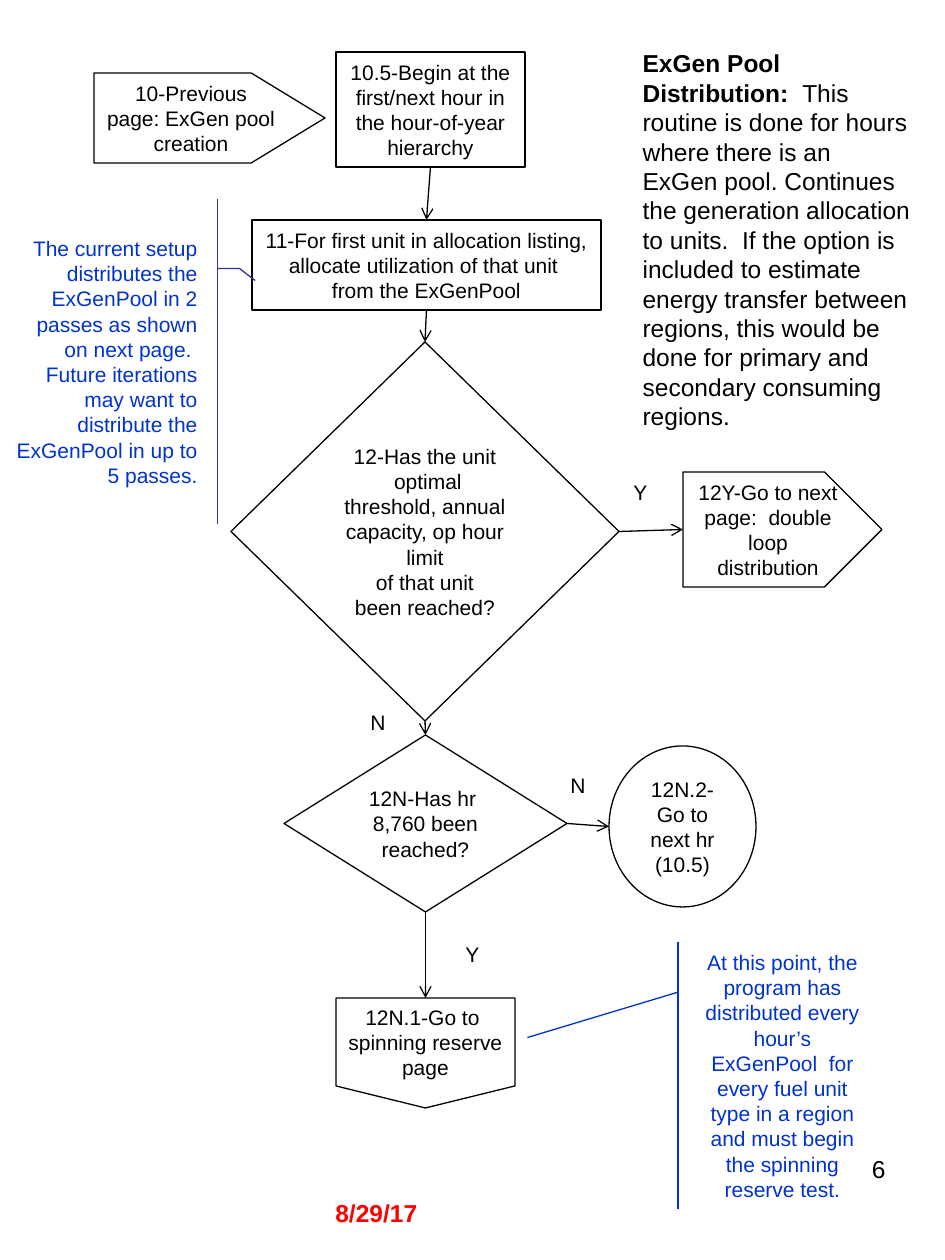
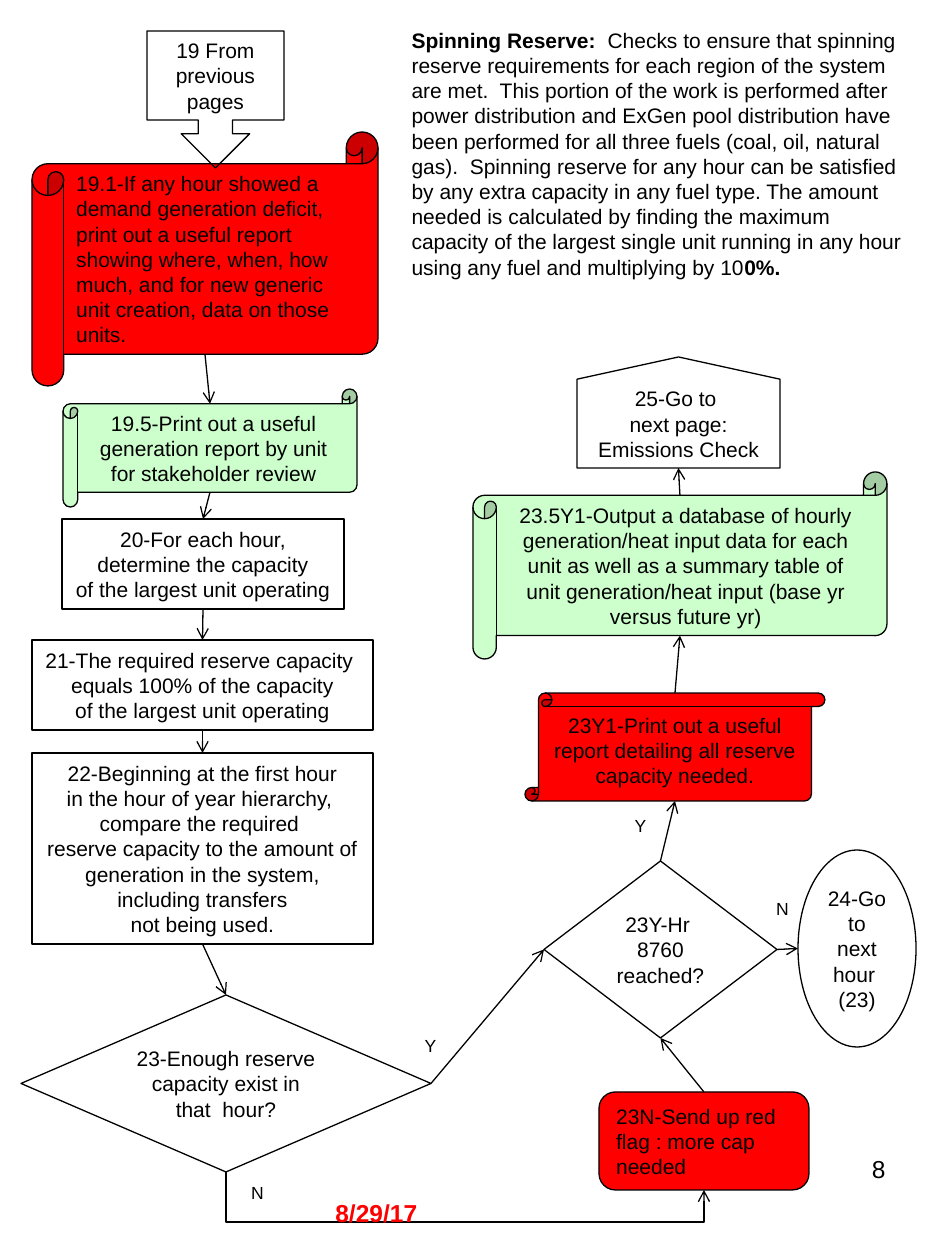
from dataclasses import dataclass

from lxml.etree import SubElement
from pptx import Presentation
from pptx.dml.color import RGBColor
from pptx.enum.shapes import MSO_CONNECTOR, MSO_SHAPE
from pptx.enum.text import MSO_ANCHOR, MSO_AUTO_SIZE, PP_ALIGN
from pptx.oxml.ns import qn
from pptx.util import Emu, Pt

# Shared look
COLORS = {"ink": "000000", "note": "0033CC", "note_line": "333399",
          "red": "FF0000", "green": "CCFFCC"}
FONT = "Arial"
LINE_PT = 0.75
PX_PER_INCH = 126
TITLE_ONLY = 5
SCROLL_CURL = 0.125
LEFT, CENTER, RIGHT = PP_ALIGN.LEFT, PP_ALIGN.CENTER, PP_ALIGN.RIGHT

PROCESS = MSO_SHAPE.FLOWCHART_PROCESS
DECISION = MSO_SHAPE.FLOWCHART_DECISION
CIRCLE = MSO_SHAPE.FLOWCHART_CONNECTOR
OFFPAGE = MSO_SHAPE.FLOWCHART_OFFPAGE_CONNECTOR
SCROLL = MSO_SHAPE.HORIZONTAL_SCROLL

Box = tuple[int, int, int, int]
Point = tuple[float, float]


@dataclass(frozen=True)
class Node:
    """A flow chart step; each line of its text is one paragraph."""
    key: str
    kind: MSO_SHAPE
    box: Box
    text: str
    fill: str | None = None
    line: str = "ink"
    color: str = "ink"
    align: PP_ALIGN = CENTER
    adj: tuple[float, ...] = ()
    wrap: bool = True
    upside_down: bool = False

    def site(self, side: str) -> Point:
        x, y, w, h = self.box
        curl = SCROLL_CURL * min(w, h) if self.kind == SCROLL else 0
        return {"top": (x + w / 2, y + curl), "bottom": (x + w / 2, y + h - curl),
                "left": (x, y + h / 2), "right": (x + w, y + h / 2)}[side]


@dataclass(frozen=True)
class Link:
    start: str
    end: str
    leave: str = "bottom"
    enter: str = "top"
    dip: int | None = None  # height of the level run of a bent link


@dataclass(frozen=True)
class Label:
    text: str
    box: Box


@dataclass(frozen=True)
class Run:
    text: str
    bold: bool = False


@dataclass(frozen=True)
class Page:
    number: str
    title_box: Box
    title_size: int
    title: tuple[Run, ...]
    label_size: int
    nodes: tuple[Node, ...]
    links: tuple[Link, ...]
    labels: tuple[Label, ...]


# Helpers
def px(n: float) -> Emu:
    return Emu(round(n * 914400 / PX_PER_INCH))


def rgb(name: str) -> RGBColor:
    return RGBColor.from_string(COLORS[name])


def write(tf, lines: list[list[Run]], size: int, color: str = "ink",
          align: PP_ALIGN = CENTER, anchor: MSO_ANCHOR = MSO_ANCHOR.TOP,
          wrap: bool = True) -> None:
    tf.word_wrap = wrap
    tf.auto_size = MSO_AUTO_SIZE.NONE
    tf.vertical_anchor = anchor
    for i, runs in enumerate(lines):
        p = tf.paragraphs[0] if i == 0 else tf.add_paragraph()
        p.alignment = align
        for run in runs:
            r = p.add_run()
            r.text = run.text
            r.font.name = FONT
            r.font.size = Pt(size)
            r.font.bold = run.bold
            r.font.color.rgb = rgb(color)


def add_text(slide, box: Box, run: Run, size: int, color: str = "ink",
             align: PP_ALIGN = CENTER) -> None:
    sp = slide.shapes.add_textbox(*map(px, box))
    write(sp.text_frame, [[run]], size, color, align)


def add_title(slide, page: Page) -> None:
    sp = slide.shapes.title
    sp.left, sp.top, sp.width, sp.height = map(px, page.title_box)
    write(sp.text_frame, [list(page.title)], page.title_size, align=LEFT)


def add_node(slide, node: Node) -> None:
    sp = slide.shapes.add_shape(node.kind, *map(px, node.box))
    sp.shadow.inherit = False
    for i, value in enumerate(node.adj):
        sp.adjustments[i] = value
    if node.fill:
        sp.fill.solid()
        sp.fill.fore_color.rgb = rgb(node.fill)
    else:
        sp.fill.background()
    sp.line.color.rgb = rgb(node.line)
    sp.line.width = Pt(LINE_PT)
    write(sp.text_frame, [[Run(t)] for t in node.text.split("\n")], 12,
          node.color, node.align, MSO_ANCHOR.MIDDLE, node.wrap)
    if node.upside_down:  # turn the outline, keep the text upright
        sp.rotation = 180
        sp.element.txBody.find(qn("a:bodyPr")).set("rot", "10800000")


def add_link(slide, link: Link, nodes: dict[str, Node]) -> None:
    x1, y1 = nodes[link.start].site(link.leave)
    x2, y2 = nodes[link.end].site(link.enter)
    kind = MSO_CONNECTOR.STRAIGHT if link.dip is None else MSO_CONNECTOR.ELBOW
    c = slide.shapes.add_connector(kind, px(x1), px(y1), px(x2), px(y2))
    c.line.color.rgb = rgb("ink")
    c.line.width = Pt(LINE_PT)
    sp_pr = c.element.spPr
    SubElement(sp_pr.find(qn("a:ln")), qn("a:tailEnd"), type="arrow")
    SubElement(sp_pr, qn("a:effectLst"))
    if link.dip is not None:  # a quarter turn makes the link leave downwards
        w, h = y2 - y1, x2 - x1
        c.left, c.top = px((x1 + x2 - w) / 2), px((y1 + y2 - h) / 2)
        c.width, c.height = px(w), px(h)
        xfrm = sp_pr.find(qn("a:xfrm"))
        xfrm.set("rot", "16200000")
        xfrm.set("flipH", "1")
        geom = sp_pr.find(qn("a:prstGeom"))
        guides = geom.find(qn("a:avLst"))
        if guides is None:
            guides = SubElement(geom, qn("a:avLst"))
        SubElement(guides, qn("a:gd"), name="adj1",
                   fmla=f"val {round((link.dip - y1) / w * 100000)}")


def add_page(prs, page: Page) -> None:
    slide = prs.slides.add_slide(prs.slide_layouts[TITLE_ONLY])
    add_title(slide, page)
    for node in page.nodes:
        add_node(slide, node)
    nodes = {node.key: node for node in page.nodes}
    for link in page.links:
        add_link(slide, link, nodes)
    for label in page.labels:
        add_text(slide, label.box, Run(label.text), page.label_size)
    # Footer: page number and date
    add_text(slide, (678, 1148, 220, 87), Run(page.number), 14, align=RIGHT)
    add_text(slide, (323, 1192, 300, 43), Run("8/29/17", True), 14, "red", LEFT)


# Pool distribution
POOL = Page(
    "6", (630, 42, 294, 398), 14,
    (Run("ExGen Pool Distribution:  ", True),
     Run("This routine is done for hours where there is an ExGen pool. Continues the "
         "generation allocation to units.  If the option is included to estimate energy "
         "transfer between regions, this would be done for primary and secondary "
         "consuming regions.  ")),
    12,
    nodes=(
        Node("11", PROCESS, (252, 220, 349, 90),
             "11-For first unit in allocation listing,\nallocate utilization of that unit \n"
             "from the ExGenPool", wrap=False),
        Node("12", DECISION, (231, 342, 388, 379),
             "12-Has the unit\n optimal threshold, annual capacity, op hour limit\n"
             " of that unit \nbeen reached?"),
        Node("12N.2", CIRCLE, (609, 746, 147, 161), "12N.2-Go to next hr (10.5)"),
        Node("12N", DECISION, (284, 735, 283, 177), "12N-Has hr \n8,760 been\nreached?"),
        Node("12N.1", OFFPAGE, (336, 998, 179, 110),
             "12N.1-Go to \nspinning reserve page"),
        Node("setup", MSO_SHAPE.LINE_CALLOUT_2_ACCENT_BAR, (0, 199, 210, 325),
             "The current setup distributes the ExGenPool in 2 passes as shown on next "
             "page.  Future iterations may want to distribute the ExGenPool in up to "
             "5 passes.", line="note_line", color="note", align=RIGHT,
             adj=(0.214, 1.036, 0.214, 1.141, 0.251, 1.215)),
        Node("10", MSO_SHAPE.PENTAGON, (94, 73, 231, 90),
             "10-Previous page: ExGen pool creation", adj=(0.82,)),
        Node("10.5", MSO_SHAPE.RECTANGLE, (336, 52, 189, 115),
             "10.5-Begin at the first/next hour in the hour-of-year hierarchy"),
        Node("12Y", MSO_SHAPE.PENTAGON, (683, 472, 199, 115),
             "12Y-Go to next page:  double loop distribution"),
        Node("reached", MSO_SHAPE.LINE_CALLOUT_1_ACCENT_BAR, (693, 942, 179, 267),
             "At this point, the program has distributed every hour’s ExGenPool  for "
             "every fuel unit type in a region and must begin the spinning reserve test.",
             line="note", color="note", adj=(0.188, -0.083, 0.358, -0.925)),
    ),
    links=(
        Link("10.5", "11"), Link("11", "12"), Link("12", "12N"), Link("12N", "12N.1"),
        Link("12", "12Y", "right", "left"), Link("12N", "12N.2", "right", "left"),
    ),
    labels=(
        Label("N", (357, 703, 42, 38)), Label("Y", (609, 473, 63, 38)),
        Label("N", (557, 766, 42, 38)), Label("Y", (441, 935, 63, 38)),
    ),
)

# Spinning reserve
RESERVE = Page(
    "8", (399, 21, 525, 267), 12,
    (Run("Spinning Reserve:  ", True),
     Run("Checks to ensure that spinning reserve requirements for each region of the "
         "system are met.  This portion of the work is performed after power distribution "
         "and ExGen pool distribution have been performed for all three fuels (coal, oil, "
         "natural gas).  Spinning reserve for any hour can be satisfied by any extra "
         "capacity in any fuel type. The amount needed is calculated by finding the "
         "maximum capacity of the largest single unit running in any hour using any fuel "
         "and multiplying by 10"),
     Run("0%.", True)),
    10,
    nodes=(
        Node("20", PROCESS, (62, 519, 282, 90),
             "20-For each hour,\ndetermine the capacity\nof the largest unit operating",
             wrap=False),
        Node("21", PROCESS, (32, 640, 341, 90),
             "21-The required reserve capacity \nequals 100% of the capacity\n"
             "of the largest unit operating", wrap=False),
        Node("23", DECISION, (21, 995, 410, 177),
             "23-Enough reserve \ncapacity exist in that  hour?"),
        Node("22", PROCESS, (32, 753, 341, 191),
             "22-Beginning at the first hour\nin the hour of year hierarchy, \n"
             "compare the required \nreserve capacity to the amount of generation in the "
             "system, including transfers\nnot being used."),
        Node("23Y", DECISION, (544, 861, 233, 177), "23Y-Hr  8760 reached?"),
        Node("24", CIRCLE, (798, 850, 118, 197), "24-Go\n to \nnext\nhour \n(23)",
             wrap=False),
        Node("25", OFFPAGE, (577, 357, 203, 111),
             "25-Go to \nnext page: Emissions Check", upside_down=True),
        Node("23N", MSO_SHAPE.FLOWCHART_ALTERNATE_PROCESS, (599, 1092, 210, 98),
             "23N-Send up red flag : more cap needed", "red", align=LEFT),
        Node("23Y1", MSO_SHAPE.VERTICAL_SCROLL, (525, 693, 300, 108),
             "23Y1-Print out a useful report detailing all reserve capacity needed.", "red"),
        Node("23.5Y1", SCROLL, (473, 472, 414, 187),
             "23.5Y1-Output a database of hourly generation/heat input data for each unit "
             "as well as a summary table of unit generation/heat input (base yr versus "
             "future yr)", "green"),
        Node("19.5", SCROLL, (63, 389, 294, 118),
             "19.5-Print out a useful generation report by unit for stakeholder review",
             "green"),
        Node("19.1", SCROLL, (32, 132, 346, 254),
             "19.1-If any hour showed a demand generation deficit, print out a useful "
             "report showing where, when, how much, and for new generic unit creation, "
             "data on those units.", "red", align=LEFT),
        Node("19", MSO_SHAPE.DOWN_ARROW_CALLOUT, (147, 31, 137, 137),
             "19 From previous pages"),
    ),
    links=(
        Link("19.1", "19.5"), Link("19.5", "20"), Link("20", "21"), Link("21", "22"),
        Link("22", "23"), Link("23", "23N", enter="bottom", dip=1222),
        Link("23N", "23Y", "top", "bottom"), Link("23Y", "24", "right", "left"),
        Link("23Y", "23Y1", "top", "bottom"), Link("23Y1", "23.5Y1", "top", "bottom"),
        Link("23.5Y1", "25", "top", "bottom"), Link("23", "23Y", "right", "left"),
    ),
    labels=(
        Label("Y", (399, 1029, 63, 34)), Label("N", (231, 1176, 53, 34)),
        Label("N", (756, 892, 53, 34)), Label("Y", (609, 809, 63, 34)),
    ),
)

prs = Presentation()
prs.slide_width, prs.slide_height = px(945), px(1260)
for page in (POOL, RESERVE):
    add_page(prs, page)
prs.save("out.pptx")
